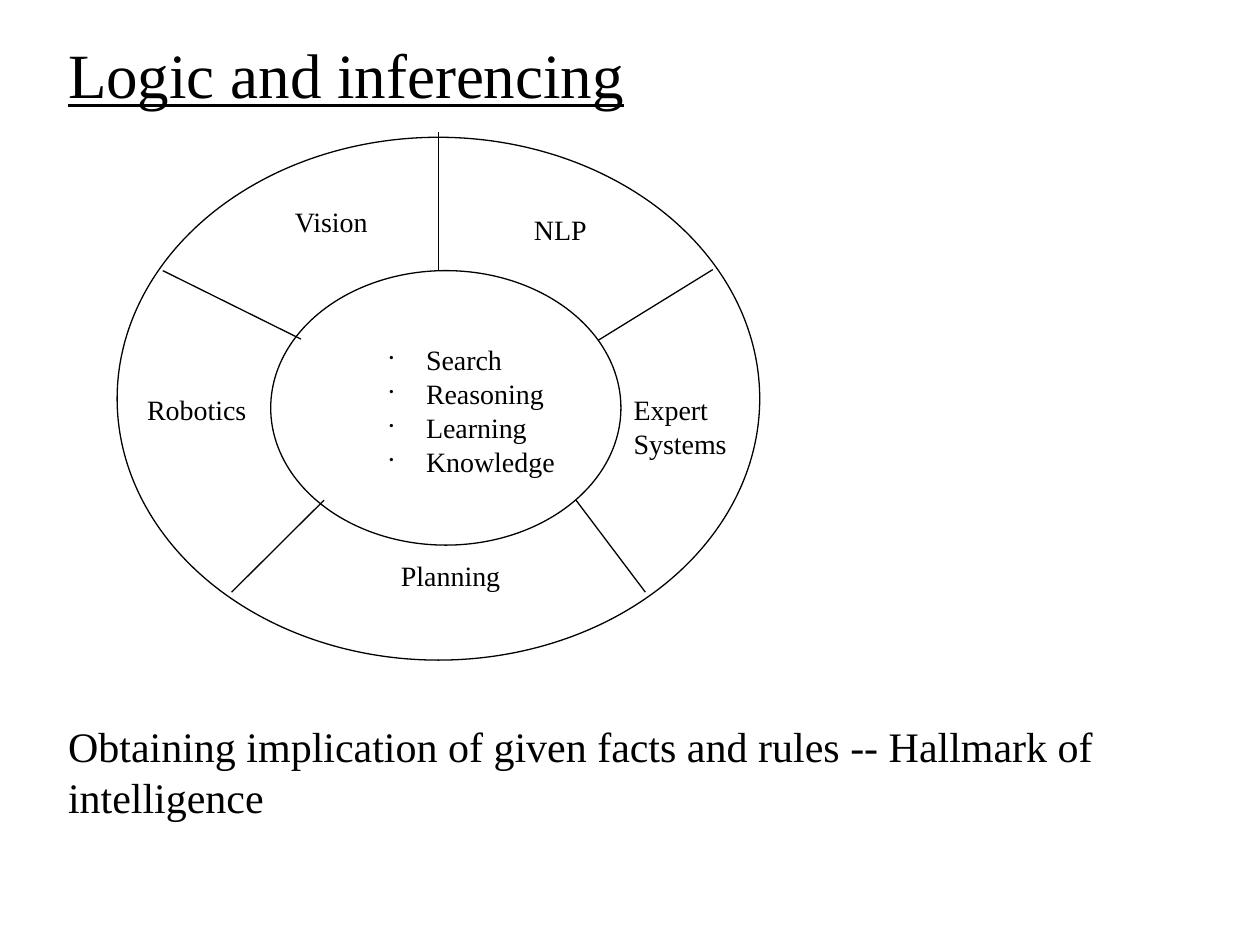
import pptx
import pptx.util
import pptx.dml.color
import pptx.enum.shapes
import pptx.enum.text
import pptx.oxml.ns
import lxml.etree

INK = {"text": "000000", "line": "000000", "back": "FFFFFF"}
FONT = "Times New Roman"
WIDE, HIGH = 10, 7.5
PAGE = (0, 0, WIDE, HIGH)

SPOKES = [
    (7.1, 25.5, 28.6, 38.6),
    (32.2, 69.4, 17.8, 87),
    (71.4, 69.4, 82.2, 87),
    (74.9, 38.8, 92.7, 25.3),
    (50, 25.5, 50, -1),
]
FIELDS = [
    ("Vision", (25.9, 11.8, 17.8, 8.7)),
    ("NLP", (63.1, 13.3, 17.8, 8.7)),
    ("Expert Systems", (78.6, 47.7, 23.1, 15.2)),
    ("Planning", (42.4, 79.5, 23.9, 8.7)),
    ("Robotics", (2.9, 47.7, 23.3, 8.7)),
]
SKILLS = ["Search", "Reasoning", "Learning", "Knowledge"]


def color(name):
    return pptx.dml.color.RGBColor.from_string(INK[name])


def point(box, x, y):
    left, top, wide, high = box
    return left + wide * x / 100, top + high * y / 100


def part(box, share):
    x, y, wide, high = share
    return (*point(box, x, y), box[2] * wide / 100, box[3] * high / 100)


def inch(nums):
    return [pptx.util.Inches(num) for num in nums]


def add_node(item, tag, **attrs):
    return lxml.etree.SubElement(item, pptx.oxml.ns.qn(tag), attrs)


def add_dot(para):
    props = para._p.get_or_add_pPr()
    indent = pptx.util.Inches(0.29)
    props.set("marL", str(indent))
    props.set("indent", str(-indent))
    tint = add_node(props, "a:buClr")
    add_node(tint, "a:srgbClr", val=INK["text"])
    add_node(props, "a:buSzPct", val="45000")
    add_node(props, "a:buChar", char="•")


def fill_text(shape, lines, size, dots=False, under=None):
    frame = shape.text_frame
    frame.text = "\n".join(lines)
    frame.word_wrap = True
    frame.auto_size = pptx.enum.text.MSO_AUTO_SIZE.NONE
    frame.vertical_anchor = pptx.enum.text.MSO_ANCHOR.TOP
    frame.margin_left = frame.margin_right = pptx.util.Inches(0.09)
    frame.margin_top = frame.margin_bottom = pptx.util.Inches(0.04)
    for para in frame.paragraphs:
        if dots:
            add_dot(para)
        para.alignment = pptx.enum.text.PP_ALIGN.LEFT
        para.line_spacing = 1.02
        for run in para.runs:
            run.font.name = FONT
            run.font.size = pptx.util.Pt(size)
            run.font.color.rgb = color("text")
            run.font.underline = under


def add_text(slide, box, lines, size, dots=False):
    shape = slide.shapes.add_textbox(*inch(box))
    fill_text(shape, lines, size, dots)


def style_line(line):
    line.color.rgb = color("line")
    line.width = pptx.util.Pt(0.75)


def add_ring(slide, box):
    kind = pptx.enum.shapes.MSO_SHAPE.OVAL
    ring = slide.shapes.add_shape(kind, *inch(box))
    ring.shadow.inherit = False
    ring.fill.background()
    style_line(ring.line)


def add_spoke(slide, box, ends):
    kind = pptx.enum.shapes.MSO_CONNECTOR.STRAIGHT
    start, end = point(box, *ends[:2]), point(box, *ends[2:])
    spoke = slide.shapes.add_connector(kind, *inch(start + end))
    style_line(spoke.line)
    add_node(spoke._element.spPr, "a:effectLst")


def add_title(slide, box):
    title = slide.shapes.title
    title.left, title.top, title.width, title.height = inch(box)
    fill_text(title, ["Logic and inferencing"], 36, under=True)


def add_wheel(slide, box):
    add_ring(slide, box)
    add_ring(slide, part(box, (23.9, 25.5, 54.5, 52.5)))
    for ends in SPOKES:
        add_spoke(slide, box, ends)
    for name, share in FIELDS:
        add_text(slide, part(box, share), [name], 16)
    add_text(slide, part(box, (40.6, 38.1, 34.5, 28.4)), SKILLS, 16, dots=True)


def add_claim(slide, box):
    claim = "Obtaining implication of given facts and rules -- Hallmark of intelligence"
    add_text(slide, box, [claim], 24)


def main():
    deck = pptx.Presentation()
    deck.slide_width, deck.slide_height = inch((WIDE, HIGH))
    slide = deck.slides.add_slide(deck.slide_layouts[5])
    slide.background.fill.solid()
    slide.background.fill.fore_color.rgb = color("back")
    add_title(slide, part(PAGE, (4.5, 3.07, 90.7, 9.33)))
    add_wheel(slide, part(PAGE, (9.3, 14.53, 51, 55.33)))
    add_claim(slide, part(PAGE, (4.5, 75.6, 88.4, 12.13)))
    deck.save("out.pptx")


if __name__ == "__main__":
    main()
